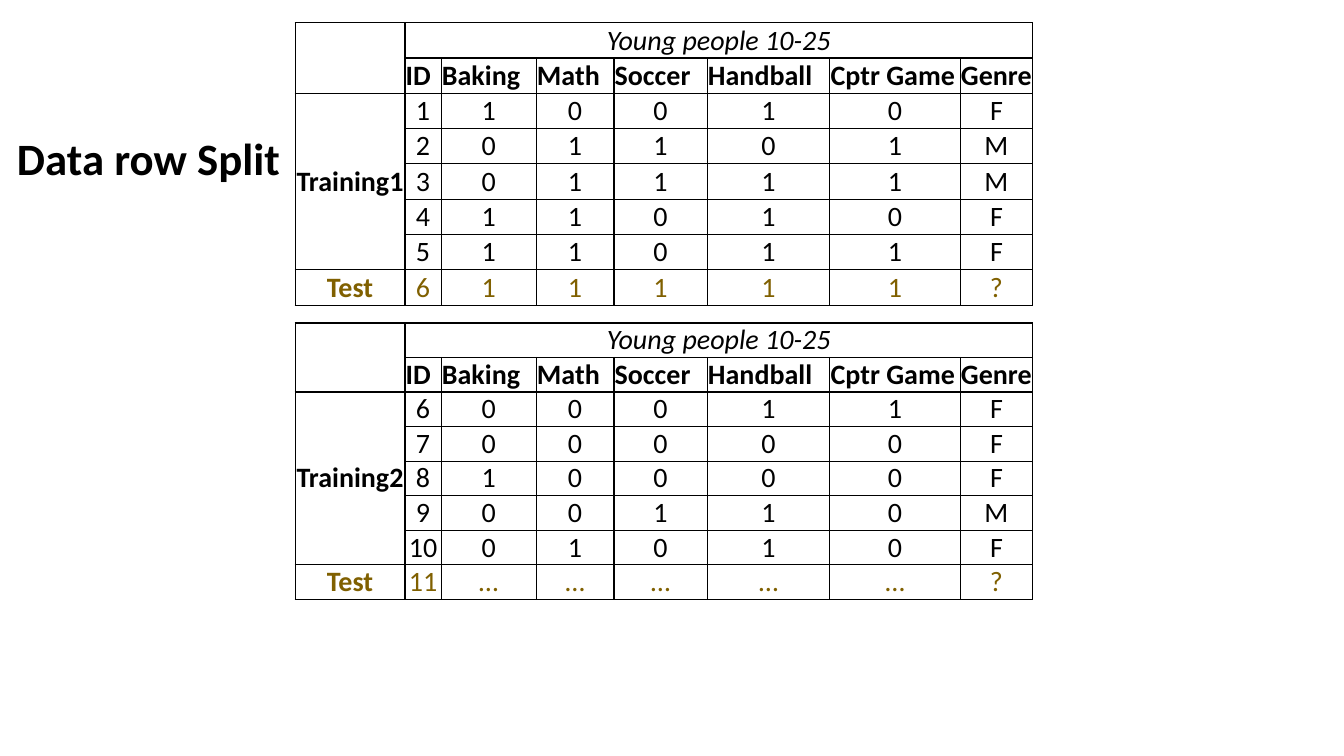
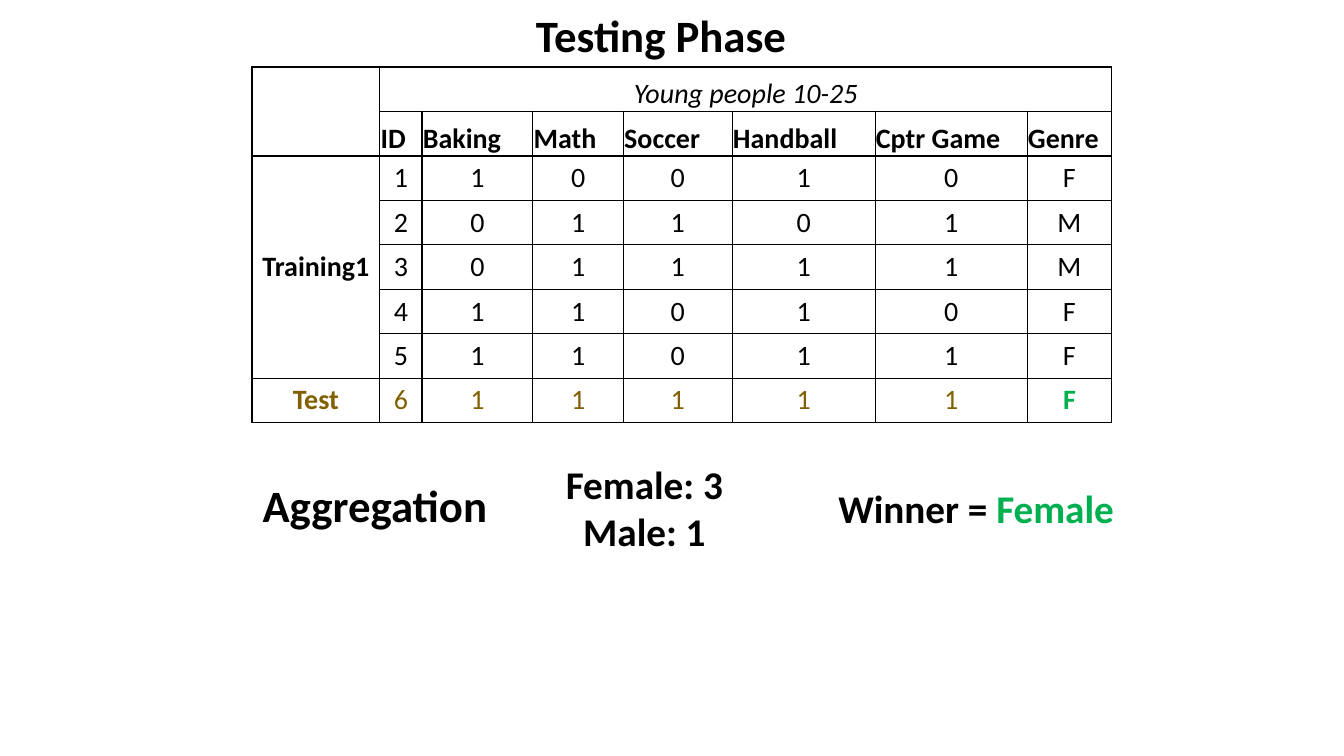
from lxml.etree import SubElement
from pptx import Presentation
from pptx.dml.color import RGBColor
from pptx.enum.text import MSO_ANCHOR, PP_ALIGN
from pptx.oxml.ns import qn
from pptx.util import Cm, Pt

FONT = "Calibri"
BLACK, GOLD, GREEN = "000000", "806000", "00B050"
COLUMN_SHARES = [1.27, 0.42, 1.1, 0.9, 1.08, 1.42, 1.51, 0.84]
CAPTION = "Young people 10-25"
HEADERS = ["ID", "Baking", "Math", "Soccer", "Handball", "Cptr Game", "Genre"]

FIRST_ROWS = ["1 1 0 0 1 0 F", "2 0 1 1 0 1 M", "3 0 1 1 1 1 M",
              "4 1 1 0 1 0 F", "5 1 1 0 1 1 F"]
SECOND_ROWS = ["6 0 0 0 1 1 F", "7 0 0 0 0 0 F", "8 1 0 0 0 0 F",
               "9 0 0 1 1 0 M", "10 0 1 0 1 0 F"]

SLIDES = [
    {
        "title": ("Data row Split", (0.05, 3.15, 7.39, 1.63)),
        "tables": [
            ("Training1", FIRST_ROWS, "6 1 1 1 1 1 ?", (7.44, 0.57, 18.59, 0.89)),
            ("Training2", SECOND_ROWS, "11 … … … … … ?", (7.44, 8.14, 18.59, 0.87)),
        ],
        "texts": [],
    },
    {
        "title": ("Testing Phase", (10.82, 0.05, 11.68, 1.63)),
        "tables": [
            ("Training1", FIRST_ROWS, "6 1 1 1 1 1 F", (6.35, 1.69, 21.67, 1.12)),
        ],
        "texts": [
            ([[("Aggregation", BLACK)]], 32, (5.49, 11.91, 7.92, 1.63)),
            ([[("Female: 3", BLACK)], [("Male: 1", BLACK)]], 28,
             (10.64, 11.48, 11.2, 2.64)),
            ([[("Winner = ", BLACK), ("Female", GREEN)]], 28,
             (19, 12.09, 11.2, 1.45)),
        ],
    },
]


def rgb(value):
    return RGBColor.from_string(value)


def add_span(para, text, size, colour=BLACK, bold=False, italic=False):
    span = para.add_run()
    span.text = text
    span.font.name = FONT
    span.font.size = Pt(size)
    span.font.bold = bold
    span.font.italic = italic
    span.font.color.rgb = rgb(colour)


def add_title(page, text, place):
    title = page.shapes.title
    title.left, title.top, title.width, title.height = map(Cm, place)
    frame = title.text_frame
    frame.word_wrap = True
    frame.vertical_anchor = MSO_ANCHOR.MIDDLE
    para = frame.paragraphs[0]
    para.alignment = PP_ALIGN.CENTER
    add_span(para, text, 32, bold=True)


def add_text(page, lines, size, place):
    box = page.shapes.add_textbox(*map(Cm, place))
    frame = box.text_frame
    frame.word_wrap = True
    for index, spans in enumerate(lines):
        para = frame.add_paragraph() if index else frame.paragraphs[0]
        para.alignment = PP_ALIGN.CENTER
        for text, colour in spans:
            add_span(para, text, size, colour, bold=True)


def format_cell(cell):
    cell.margin_left = cell.margin_right = Cm(0.02)
    cell.margin_top = cell.margin_bottom = 0
    properties = cell._tc.get_or_add_tcPr()
    for side in ("lnL", "lnR", "lnT", "lnB"):
        line = SubElement(properties, qn(f"a:{side}"), w=str(Pt(1)))
        fill = SubElement(line, qn("a:solidFill"))
        SubElement(fill, qn("a:srgbClr"), val=BLACK)
    cell.fill.background()


def fill_cell(cell, text, colour=BLACK, bold=False, italic=False,
              align=PP_ALIGN.CENTER, anchor=MSO_ANCHOR.MIDDLE):
    cell.vertical_anchor = anchor
    para = cell.text_frame.paragraphs[0]
    para.alignment = align
    add_span(para, text, 20, colour, bold, italic)


def add_data_table(page, label, training_rows, test_row, place):
    left, top, width, row_height = place
    test_index = len(training_rows) + 2
    row_count = test_index + 1
    table = page.shapes.add_table(row_count, len(COLUMN_SHARES), Cm(left), Cm(top),
                                  Cm(width), Cm(row_height * row_count)).table
    table.first_row = table.horz_banding = False
    for column, share in zip(table.columns, COLUMN_SHARES):
        column.width = Cm(width * share / sum(COLUMN_SHARES))
    for row in table.rows:
        row.height = Cm(row_height)
        for cell in row.cells:
            format_cell(cell)

    table.cell(0, 0).merge(table.cell(1, 0))
    table.cell(0, 1).merge(table.cell(0, len(HEADERS)))
    table.cell(2, 0).merge(table.cell(test_index - 1, 0))
    fill_cell(table.cell(0, 1), CAPTION, italic=True, anchor=MSO_ANCHOR.BOTTOM)
    for column, header in enumerate(HEADERS, 1):
        fill_cell(table.cell(1, column), header, bold=True,
                  align=PP_ALIGN.LEFT, anchor=MSO_ANCHOR.BOTTOM)
    fill_cell(table.cell(2, 0), label, bold=True)
    fill_cell(table.cell(test_index, 0), "Test", GOLD, bold=True)
    for row, values in enumerate([*training_rows, test_row], 2):
        for column, value in enumerate(values.split(), 1):
            predicted = row == test_index and value == "F"
            colour = GREEN if predicted else GOLD if row == test_index else BLACK
            fill_cell(table.cell(row, column), value, colour, bold=predicted)


def main():
    deck = Presentation()
    deck.slide_width, deck.slide_height = Cm(33.87), Cm(19.05)
    for content in SLIDES:
        page = deck.slides.add_slide(deck.slide_layouts[5])
        add_title(page, *content["title"])
        for table in content["tables"]:
            add_data_table(page, *table)
        for text in content["texts"]:
            add_text(page, *text)
    deck.save("out.pptx")


if __name__ == "__main__":
    main()
